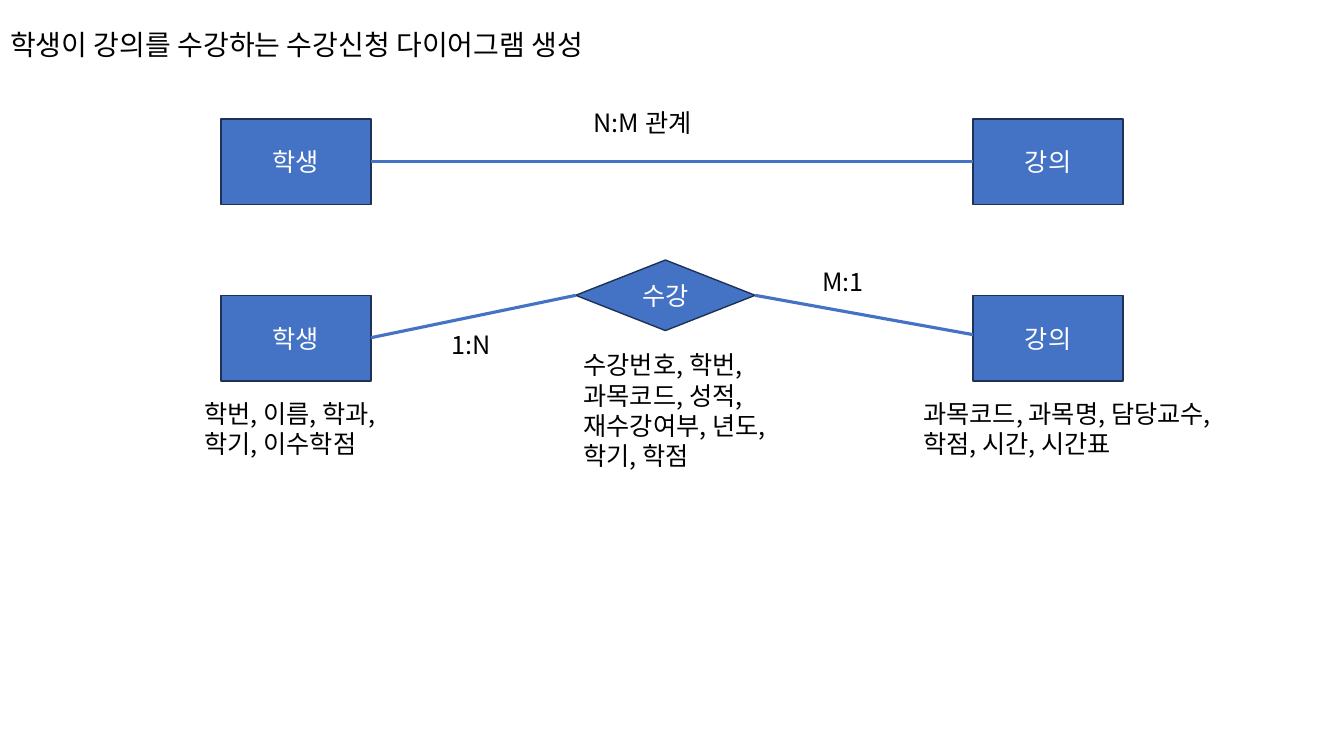
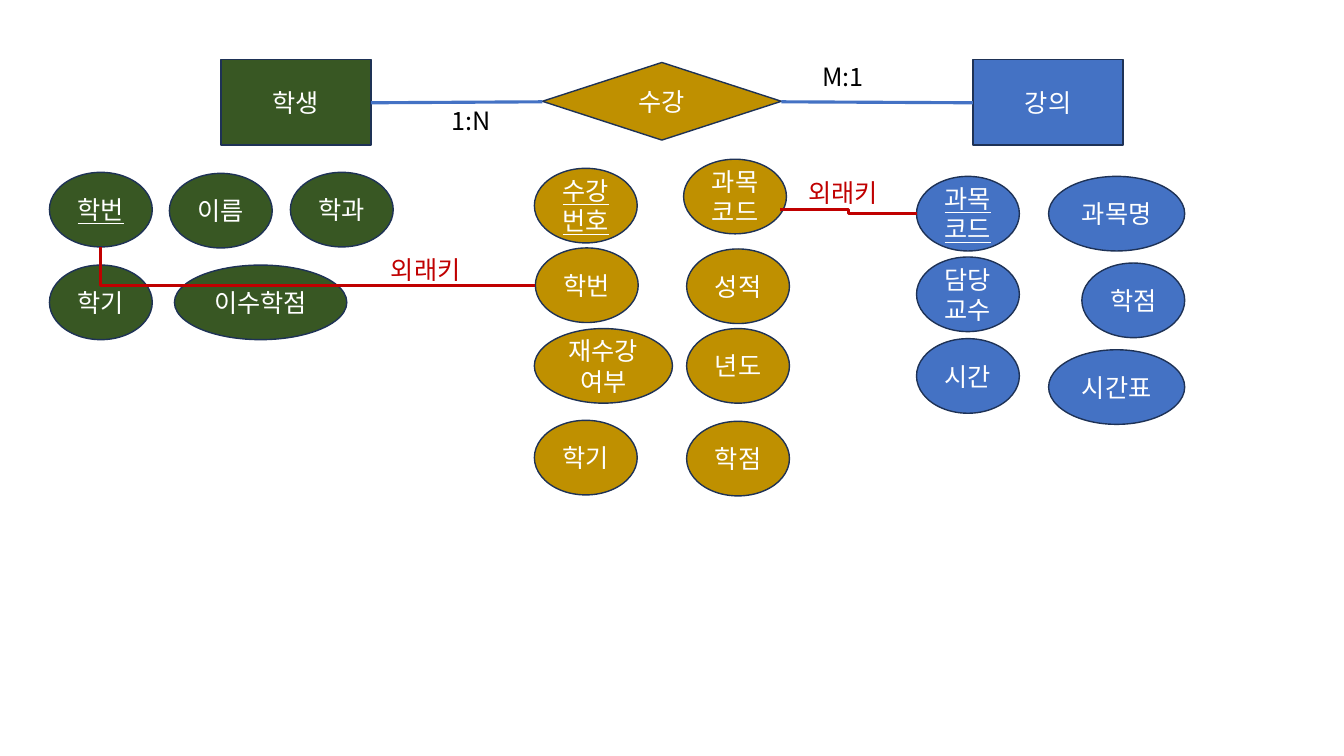
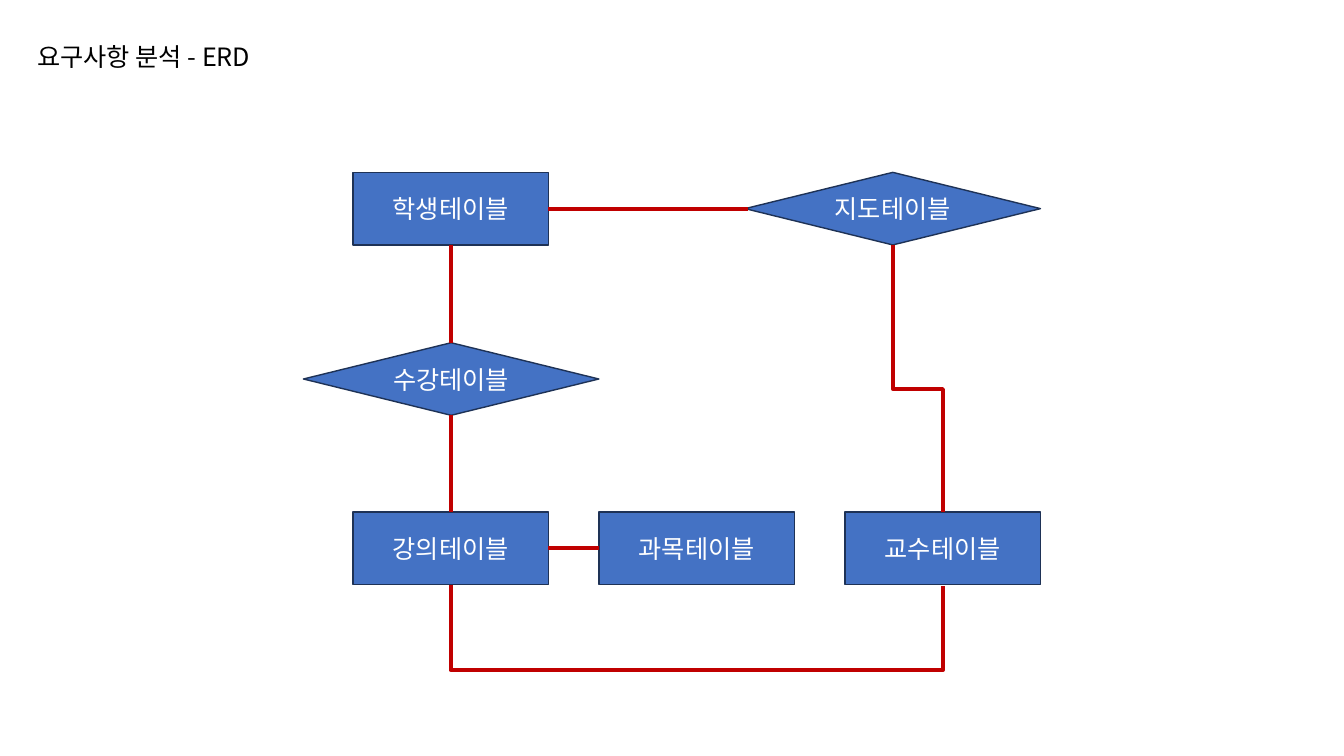
from lxml.etree import SubElement
from pptx import Presentation
from pptx.dml.color import RGBColor
from pptx.enum.shapes import MSO_CONNECTOR as Connector, MSO_SHAPE as Shape
from pptx.enum.text import MSO_ANCHOR as Anchor, PP_ALIGN as Align
from pptx.oxml.ns import qn
from pptx.util import Inches, Pt

FONT = "Noto Sans CJK KR"
COLORS = {
    "blue": "4472C4",
    "green": "385723",
    "gold": "BF9000",
    "red": "C00000",
    "outline": "1E3256",
    "white": "FFFFFF",
    "black": "000000",
}
TITLE_ONLY, BLANK = 5, 6
BOX = (1.49, 0.85)
OVAL = (1.02, 0.74)
# Connection sites, counted anticlockwise from the top
RECT_TOP, RECT_BOTTOM = 0, 2
OVAL_LEFT, OVAL_BOTTOM = 2, 4


def color(name):
    return RGBColor.from_string(COLORS[name])


def write(frame, text, size=18, ink="black", align=Align.LEFT, anchor=Anchor.TOP,
          underline=None, spacing=None):
    """Fill a text frame with one paragraph for each line of text."""
    frame.word_wrap = True
    frame.vertical_anchor = anchor
    for number, line in enumerate(text.split("\n")):
        para = frame.add_paragraph() if number else frame.paragraphs[0]
        para.alignment = align
        para.line_spacing = spacing
        span = para.add_run()
        span.text = line
        span.font.size = Pt(size)
        span.font.name = FONT
        span.font.underline = underline
        span.font.color.rgb = color(ink)
        SubElement(span.font._element, qn("a:ea"), typeface=FONT)


class Diagram:
    """Holds the deck, its style and the page being drawn."""

    def __init__(self):
        self.deck = Presentation()
        self.deck.slide_width = Inches(13.33)
        self.deck.slide_height = Inches(7.5)
        self.page = None

    def new_page(self, layout):
        self.page = self.deck.slides.add_slide(self.deck.slide_layouts[layout])

    def title(self, text, left, top, width, height, **style):
        box = self.page.shapes.title
        box.left, box.top = Inches(left), Inches(top)
        box.width, box.height = Inches(width), Inches(height)
        write(box.text_frame, text, anchor=Anchor.MIDDLE, **style)

    def label(self, text, left, top, width, height=0.4, **style):
        box = self.page.shapes.add_textbox(
            Inches(left), Inches(top), Inches(width), Inches(height))
        write(box.text_frame, text, **style)

    def node(self, text, left, top, size=BOX, kind=Shape.RECTANGLE, fill="blue",
             underline=None):
        shape = self.page.shapes.add_shape(
            kind, Inches(left), Inches(top), Inches(size[0]), Inches(size[1]))
        shape.shadow.inherit = False
        shape.fill.solid()
        shape.fill.fore_color.rgb = color(fill)
        shape.line.color.rgb = color("outline")
        shape.line.width = Pt(1)
        write(shape.text_frame, text, ink="white", align=Align.CENTER,
              anchor=Anchor.MIDDLE, underline=underline)
        return shape

    def oval(self, text, left, top, fill, width=OVAL[0], underline=None):
        return self.node(text, left, top, (width, OVAL[1]), Shape.OVAL, fill, underline)

    def line(self, start, end, ink="blue", weight=2.25, kind=Connector.STRAIGHT):
        link = self.page.shapes.add_connector(
            kind, *(Inches(value) for value in (*start, *end)))
        link.line.color.rgb = color(ink)
        link.line.width = Pt(weight)
        SubElement(link._element.spPr, qn("a:effectLst"))
        return link

    def elbow(self, start, end, first=None, last=None, weight=2.25):
        """Draw a red elbow; first and last are (shape, site) pairs to attach to."""
        link = self.line(start, end, "red", weight, Connector.ELBOW)
        holder = link._element.find(".//" + qn("p:cNvCxnSpPr"))
        for tag, target in (("a:stCxn", first), ("a:endCxn", last)):
            if target:
                shape, site = target
                SubElement(holder, qn(tag), id=str(shape.shape_id), idx=str(site))
        return link

    def drop(self, start, end, first, last, bend=None, weight=2.25):
        """Draw an elbow that leaves downwards and turns right.

        bend is the length of the first leg; without it there is one corner only.
        """
        link = self.elbow(start, end, first, last, weight)
        (left, top), (right, bottom) = start, end
        across, down = right - left, bottom - top
        link.left = Inches((left + right - down) / 2)
        link.top = Inches((top + bottom - across) / 2)
        link.width, link.height = Inches(down), Inches(across)
        frame = link._element.spPr.find(qn("a:xfrm"))
        frame.set("rot", str(270 * 60000))
        frame.set("flipH", "1")
        outline = link._element.spPr.find(qn("a:prstGeom"))
        if bend is None:
            outline.set("prst", "bentConnector2")
        else:
            guides = outline.find(qn("a:avLst"))
            if guides is None:
                guides = SubElement(outline, qn("a:avLst"))
            SubElement(guides, qn("a:gd"), name="adj1",
                       fmla=f"val {round(bend / down * 100000)}")


def draw_relations(diagram):
    diagram.new_page(TITLE_ONLY)
    diagram.title("학생이 강의를 수강하는 수강신청 다이어그램 생성",
                  0, 0, 11.5, 0.93, size=20, spacing=0.9)
    for top in (1.18, 2.93):
        diagram.node("학생", 2.19, top)
        diagram.node("강의", 9.65, top)
    diagram.node("수강", 5.71, 2.58, (1.78, 0.7), Shape.FLOWCHART_DECISION)
    diagram.line((3.68, 1.6), (9.65, 1.6))
    diagram.line((3.68, 3.35), (5.71, 2.93))
    diagram.line((7.49, 2.93), (9.65, 3.32))
    diagram.label("N:M 관계", 5.79, 1.02, 1.75)
    diagram.label("1:N", 4.38, 3.22, 0.8)
    diagram.label("M:1", 8.06, 2.59, 0.8)
    diagram.label("학번, 이름, 학과,\n학기, 이수학점", 1.93, 3.9, 2.06, 1)
    diagram.label("과목코드, 과목명, 담당교수,\n학점, 시간, 시간표", 9.06, 3.9, 3.6, 0.71)
    diagram.label("수강번호, 학번,\n과목코드, 성적,\n재수강여부, 년도,\n학기, 학점",
                  5.69, 3.42, 2.5, 1.31)


def draw_attributes(diagram):
    diagram.new_page(BLANK)
    diagram.node("학생", 2.19, 0.59, fill="green")
    diagram.node("강의", 9.65, 0.59)
    diagram.node("수강", 5.38, 0.62, (2.37, 0.77), Shape.FLOWCHART_DECISION, "gold")
    diagram.line((3.68, 1.02), (5.38, 1.01))
    diagram.line((7.75, 1.01), (9.65, 1.02))
    diagram.label("1:N", 4.38, 1, 0.8)
    diagram.label("M:1", 8.06, 0.56, 0.8)

    student_key = diagram.oval("학번", 0.49, 1.71, "green", underline=True)
    diagram.oval("수강\n번호", 5.3, 1.67, "gold", underline=True)
    enrolled_student = diagram.oval("학번", 5.31, 2.46, "gold")
    course_key = diagram.oval("과목코드", 9.09, 1.75, "blue", underline=True)
    attributes = {
        "green": [("이름", 1.68, 1.72), ("학과", 2.88, 1.71), ("학기", 0.49, 2.63),
                  ("이수학점", 1.73, 2.63, 1.71)],
        "gold": [("과목코드", 6.78, 1.58), ("성적", 6.81, 2.47),
                 ("재수강\n여부", 5.3, 3.26, 1.37), ("년도", 6.81, 3.26),
                 ("학기", 5.3, 4.17), ("학점", 6.81, 4.18)],
        "blue": [("과목명", 10.4, 1.75, 1.35), ("담당교수", 9.09, 2.55),
                 ("학점", 10.73, 2.61), ("시간", 9.09, 3.36),
                 ("시간표", 10.4, 3.47, 1.35)],
    }
    for fill, ovals in attributes.items():
        for text, left, top, *width in ovals:
            diagram.oval(text, left, top, fill, *width)

    diagram.drop((1, 2.45), (5.31, 2.83),
                 (student_key, OVAL_BOTTOM), (enrolled_student, OVAL_LEFT))
    diagram.elbow((7.74, 2.08), (9.09, 2.12), last=(course_key, OVAL_LEFT))
    for left, top in ((3.78, 2.47), (7.92, 1.71)):
        diagram.label("외래키", left, top, 1.17, ink="red")


def draw_tables(diagram):
    diagram.new_page(TITLE_ONLY)
    diagram.title("요구사항 분석 - ERD", 0.27, 0.36, 2.55, 0.4)
    table, link = (1.94, 0.72), (2.93, 0.72)
    diagram.node("학생테이블", 3.5, 1.71, table)
    lecture, _, professor = [
        diagram.node(text, 3.5 + 2.44 * column, 5.08, table)
        for column, text in enumerate(("강의테이블", "과목테이블", "교수테이블"))]
    diagram.node("수강테이블", 3.01, 3.4, link, Shape.DIAMOND)
    advising = diagram.node("지도테이블", 7.39, 1.71, link, Shape.DIAMOND)
    for start, end in (((4.47, 2.43), (4.47, 3.4)), ((4.47, 4.12), (4.47, 5.08)),
                       ((5.44, 5.44), (5.94, 5.44)), ((5.44, 2.07), (7.42, 2.07))):
        diagram.line(start, end, "red", 3)
    diagram.drop((8.86, 2.43), (9.35, 5.08), (advising, RECT_BOTTOM),
                 (professor, RECT_TOP), bend=1.43, weight=3)
    diagram.drop((4.47, 5.8), (9.35, 5.81), (lecture, RECT_BOTTOM),
                 (professor, RECT_BOTTOM), bend=0.86, weight=3)


def main():
    diagram = Diagram()
    draw_relations(diagram)
    draw_attributes(diagram)
    draw_tables(diagram)
    diagram.deck.save("out.pptx")


if __name__ == "__main__":
    main()
